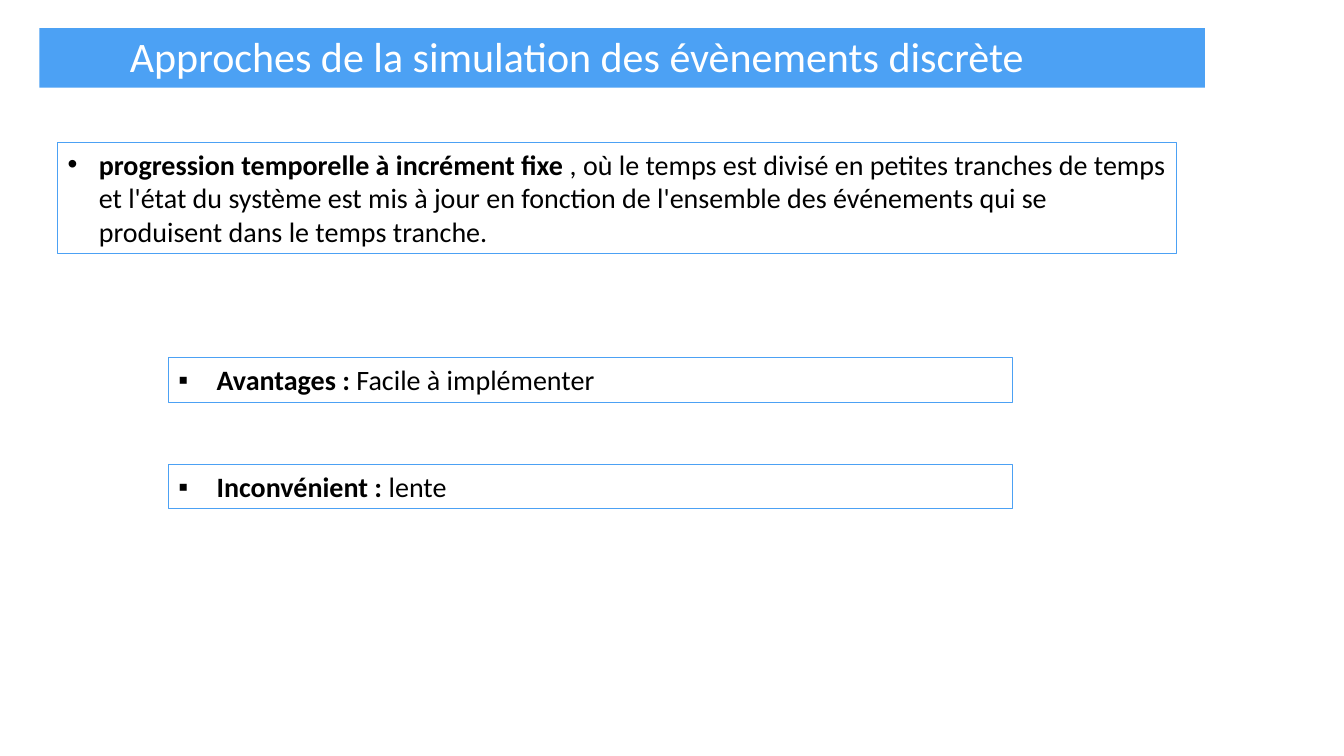
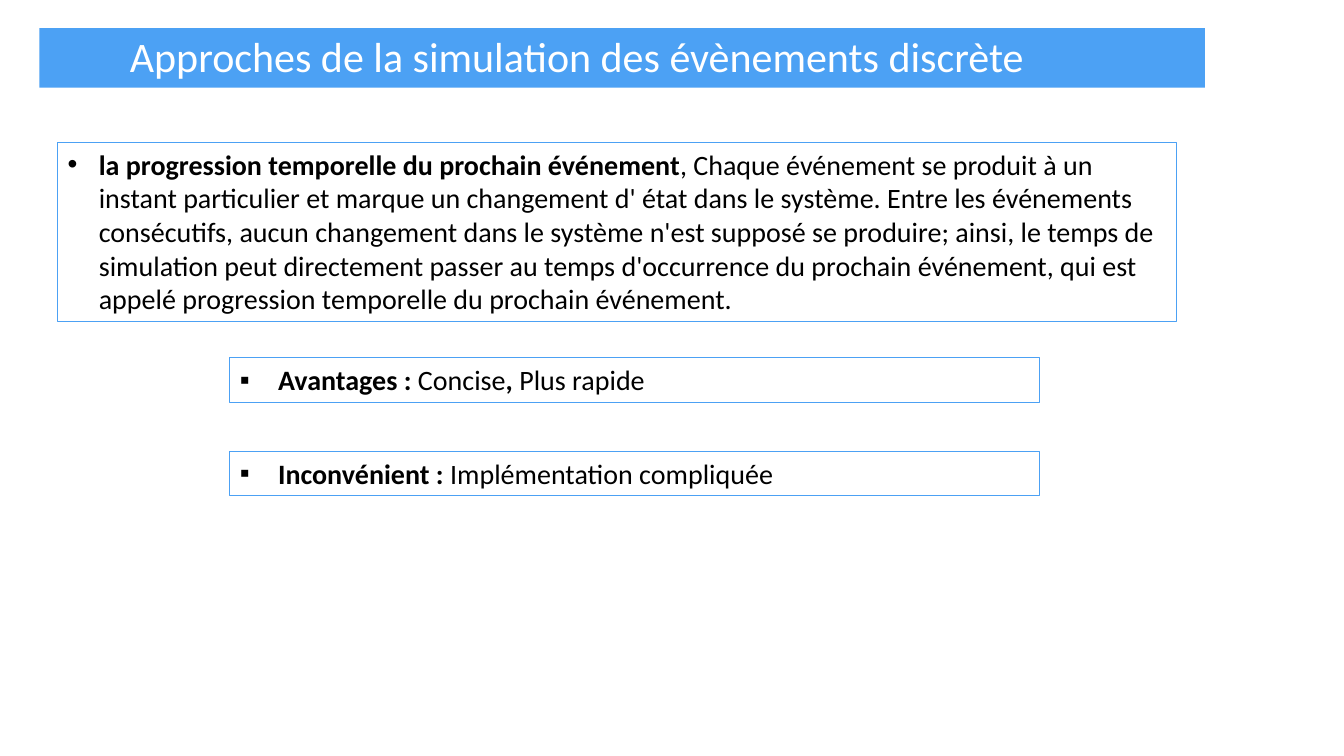
from dataclasses import dataclass

from lxml import etree
from pptx import Presentation
from pptx.dml.color import RGBColor
from pptx.enum import shapes, text
from pptx.oxml import ns
from pptx.util import Inches, Pt


@dataclass(frozen=True)
class Theme:
    font: str = "Calibri"
    accent: RGBColor = RGBColor(0x4C, 0xA1, 0xF4)
    ink: RGBColor = RGBColor(0, 0, 0)
    paper: RGBColor = RGBColor(255, 255, 255)
    title_size: Pt = Pt(30)
    body_size: Pt = Pt(20)
    border: Pt = Pt(0.75)


THEME = Theme()
HEADING = "Approches de la simulation des évènements discrète"

# Runs are (wording, bold); verdict boxes share left, width and first top
APPROACHES = [
    {
        "definition": [
            ("progression temporelle à incrément fixe ", True),
            (", où le temps est divisé en petites tranches de temps et l'état du "
             "système est mis à jour en fonction de l'ensemble des événements qui se "
             "produisent dans le temps tranche.", False),
        ],
        "height": 1.11,
        "verdicts": [
            [("Avantages : ", True), ("Facile à implémenter", False)],
            [("Inconvénient : ", True), ("lente", False)],
        ],
        "left": 1.67, "width": 8.37, "step": 1.06,
    },
    {
        "definition": [
            ("la progression temporelle du prochain événement", True),
            (", Chaque événement se produit à un instant particulier et marque un "
             "changement d' état dans le système. Entre les événements consécutifs, "
             "aucun changement dans le système n'est supposé se produire; ainsi, le "
             "temps de simulation peut directement passer au temps d'occurrence du "
             "prochain événement, qui est appelé progression temporelle du prochain "
             "événement.", False),
        ],
        "height": 1.78,
        "verdicts": [
            [("Avantages : ", True), ("Concise", False), (", ", True),
             ("Plus rapide", False)],
            [("Inconvénient : ", True), ("Implémentation compliquée", False)],
        ],
        "left": 2.28, "width": 8.03, "step": 0.93,
    },
]


def place(shape, left, top, width, height):
    shape.left, shape.top = Inches(left), Inches(top)
    shape.width, shape.height = Inches(width), Inches(height)


def style_font(font, size, color):
    font.name, font.size = THEME.font, size
    font.color.rgb = color


def set_bullet(paragraph, char, indent):
    props = paragraph._p.get_or_add_pPr()
    props.set("marL", str(Inches(indent)))
    props.set("indent", str(-Inches(indent)))
    etree.SubElement(props, ns.qn("a:buFont"), typeface="Arial")
    etree.SubElement(props, ns.qn("a:buChar"), char=char)


def fill_bordered_box(box, runs, bullet, indent):
    """Give a box its thin border and one bulleted paragraph."""
    box.line.color.rgb = THEME.accent
    box.line.width = THEME.border
    frame = box.text_frame
    frame.word_wrap = True
    frame.auto_size = text.MSO_AUTO_SIZE.NONE
    frame.vertical_anchor = text.MSO_ANCHOR.TOP
    paragraph = frame.paragraphs[0]
    set_bullet(paragraph, bullet, indent)
    paragraph.space_before = Pt(0)
    style_font(paragraph.font, THEME.body_size, THEME.ink)
    for wording, bold in runs:
        run = paragraph.add_run()
        run.text, run.font.bold = wording, bold


def add_heading(slide):
    # Colour band, sent behind the title
    band = slide.shapes.add_shape(shapes.MSO_SHAPE.RECTANGLE, Inches(0.39),
                                  Inches(0.28), Inches(11.56), Inches(0.59))
    band.shadow.inherit = False
    band.fill.solid()
    band.fill.fore_color.rgb = THEME.accent
    band.line.fill.background()
    title = slide.shapes.title
    title._element.addprevious(band._element)

    # Title
    place(title, 0.22, 0.32, 11.01, 0.49)
    frame = title.text_frame
    frame.margin_left = frame.margin_right = frame.margin_top = frame.margin_bottom = 0
    frame.vertical_anchor = text.MSO_ANCHOR.BOTTOM
    frame.auto_size = text.MSO_AUTO_SIZE.NONE
    frame.text = HEADING
    paragraph = frame.paragraphs[0]
    paragraph.alignment = text.PP_ALIGN.CENTER
    paragraph.line_spacing = 0.9
    style_font(paragraph.font, THEME.title_size, THEME.paper)


def add_approach(deck, approach):
    slide = deck.slides.add_slide(deck.slide_layouts.get_by_name("Title and Content"))
    slide.background.fill.solid()
    slide.background.fill.fore_color.rgb = THEME.paper
    add_heading(slide)

    # Definition
    definition = slide.placeholders[1]
    place(definition, 0.57, 1.41, 11.1, approach["height"])
    fill_bordered_box(definition, approach["definition"], "•", 0.31)

    # Advantages and drawbacks
    for row, runs in enumerate(approach["verdicts"]):
        verdict = slide.shapes.add_textbox(
            Inches(approach["left"]), Inches(3.55 + row * approach["step"]),
            Inches(approach["width"]), Inches(0.44))
        fill_bordered_box(verdict, runs, "▪", 0.38)


def main():
    deck = Presentation()
    deck.slide_width, deck.slide_height = Inches(13.33), Inches(7.5)
    for approach in APPROACHES:
        add_approach(deck, approach)
    deck.save("out.pptx")


if __name__ == "__main__":
    main()
